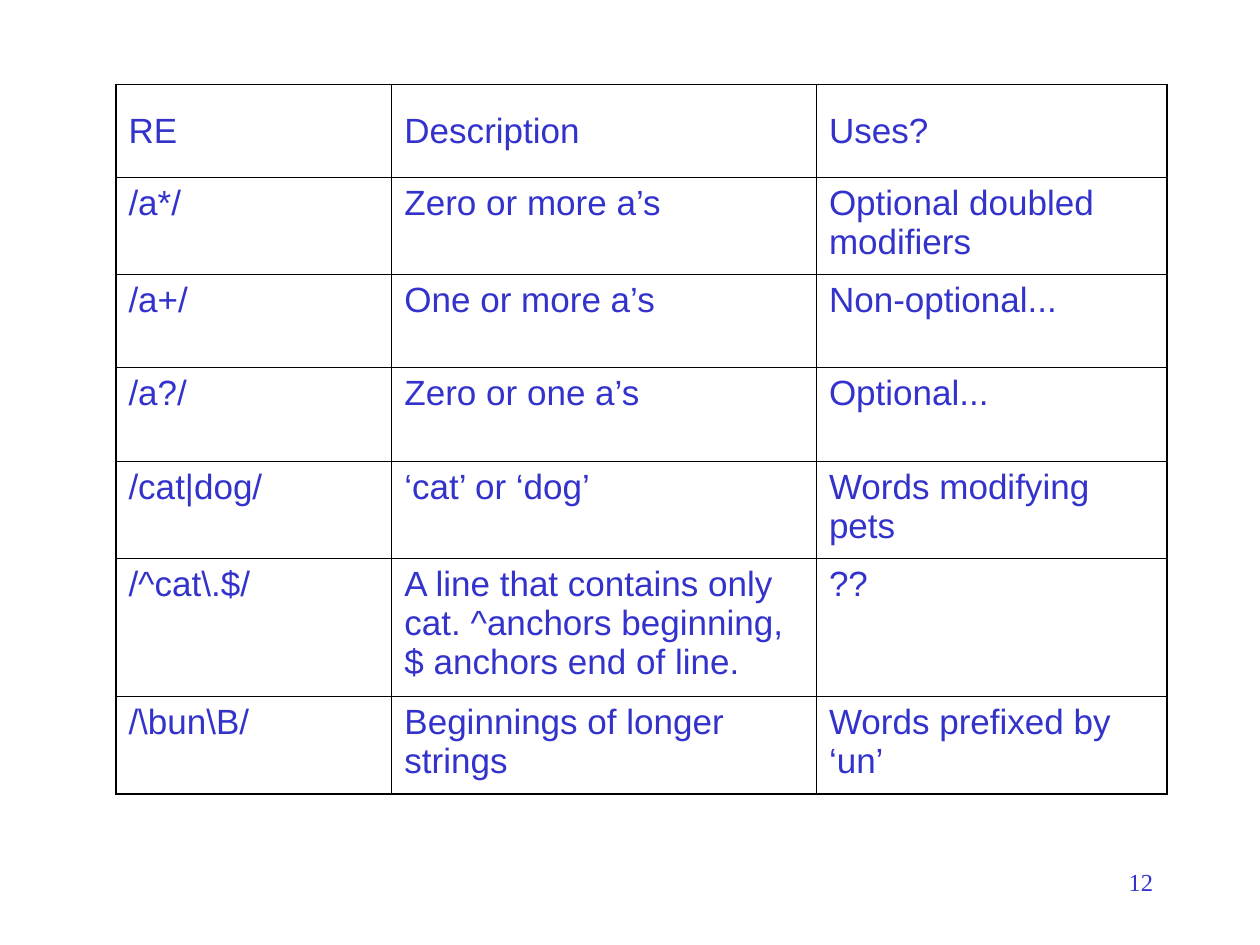
"""Build a slide with a table of regular expressions, their meaning and uses."""
from lxml.etree import SubElement
from pptx import Presentation
from pptx.dml.color import RGBColor
from pptx.enum.text import MSO_ANCHOR, PP_ALIGN
from pptx.oxml.ns import qn
from pptx.util import Inches, Pt

COLORS = {"text": "3333CC", "border": "000000"}
THIN, THICK = Pt(0.45), Pt(1.08)
COLUMN_WIDTHS = [2.19, 3.37, 2.78]
ROW_HEIGHTS = [0.74, 0.77, 0.74, 0.74, 0.77, 1.1, 0.77]
ROWS = [
    ("RE", "Description", "Uses?"),
    ("/a*/", "Zero or more a’s", "Optional doubled modifiers"),
    ("/a+/", "One or more a’s", "Non-optional..."),
    ("/a?/", "Zero or one a’s", "Optional..."),
    ("/cat|dog/", "‘cat’ or ‘dog’", "Words modifying pets"),
    (r"/^cat\.$/", "A line that contains only cat. ^anchors beginning, $ anchors end of line.", "??"),
    (r"/\bun\B/", "Beginnings of longer strings", "Words prefixed by ‘un’"),
]


def format_paragraph(paragraph, font_name, size):
    paragraph.font.name = font_name
    paragraph.font.size = Pt(size)
    paragraph.font.color.rgb = RGBColor.from_string(COLORS["text"])


def add_border(cell, side, width):
    line = SubElement(cell._tc.get_or_add_tcPr(), qn(f"a:ln{side}"), w=str(width))
    fill = SubElement(line, qn("a:solidFill"))
    SubElement(fill, qn("a:srgbClr"), val=COLORS["border"])


presentation = Presentation()
presentation.slide_width = Inches(10)
presentation.slide_height = Inches(7.5)
slide = presentation.slides.add_slide(presentation.slide_layouts[6])

number_box = slide.shapes.add_textbox(Inches(7.17), Inches(6.83), Inches(2.08), Inches(0.5))
number_box.text_frame.word_wrap = True
number_paragraph = number_box.text_frame.paragraphs[0]
number_paragraph.text = "12"
number_paragraph.alignment = PP_ALIGN.RIGHT
format_paragraph(number_paragraph, "Times New Roman", 14)

table = slide.shapes.add_table(
    len(ROWS), len(COLUMN_WIDTHS), Inches(0.92), Inches(0.67),
    Inches(sum(COLUMN_WIDTHS)), Inches(sum(ROW_HEIGHTS)),
).table
table.first_row = False
table.horz_banding = False
for column, width in zip(table.columns, COLUMN_WIDTHS):
    column.width = Inches(width)
for row, height in zip(table.rows, ROW_HEIGHTS):
    row.height = Inches(height)

last_row, last_column = len(ROWS) - 1, len(COLUMN_WIDTHS) - 1
for row_index, texts in enumerate(ROWS):
    for column_index, text in enumerate(texts):
        cell = table.cell(row_index, column_index)
        cell.text = text
        cell.vertical_anchor = MSO_ANCHOR.TOP if row_index else MSO_ANCHOR.MIDDLE
        cell.margin_left = cell.margin_right = Inches(0.1)
        cell.margin_top = cell.margin_bottom = Inches(0.05)
        paragraph = cell.text_frame.paragraphs[0]
        paragraph.space_before = Pt(5)
        format_paragraph(paragraph, "Arial", 20)
        outer_sides = {
            "L": column_index == 0,
            "R": column_index == last_column,
            "T": row_index == 0,
            "B": row_index == last_row,
        }
        for side, is_outer in outer_sides.items():
            add_border(cell, side, THICK if is_outer else THIN)
        cell.fill.background()

presentation.save("out.pptx")
